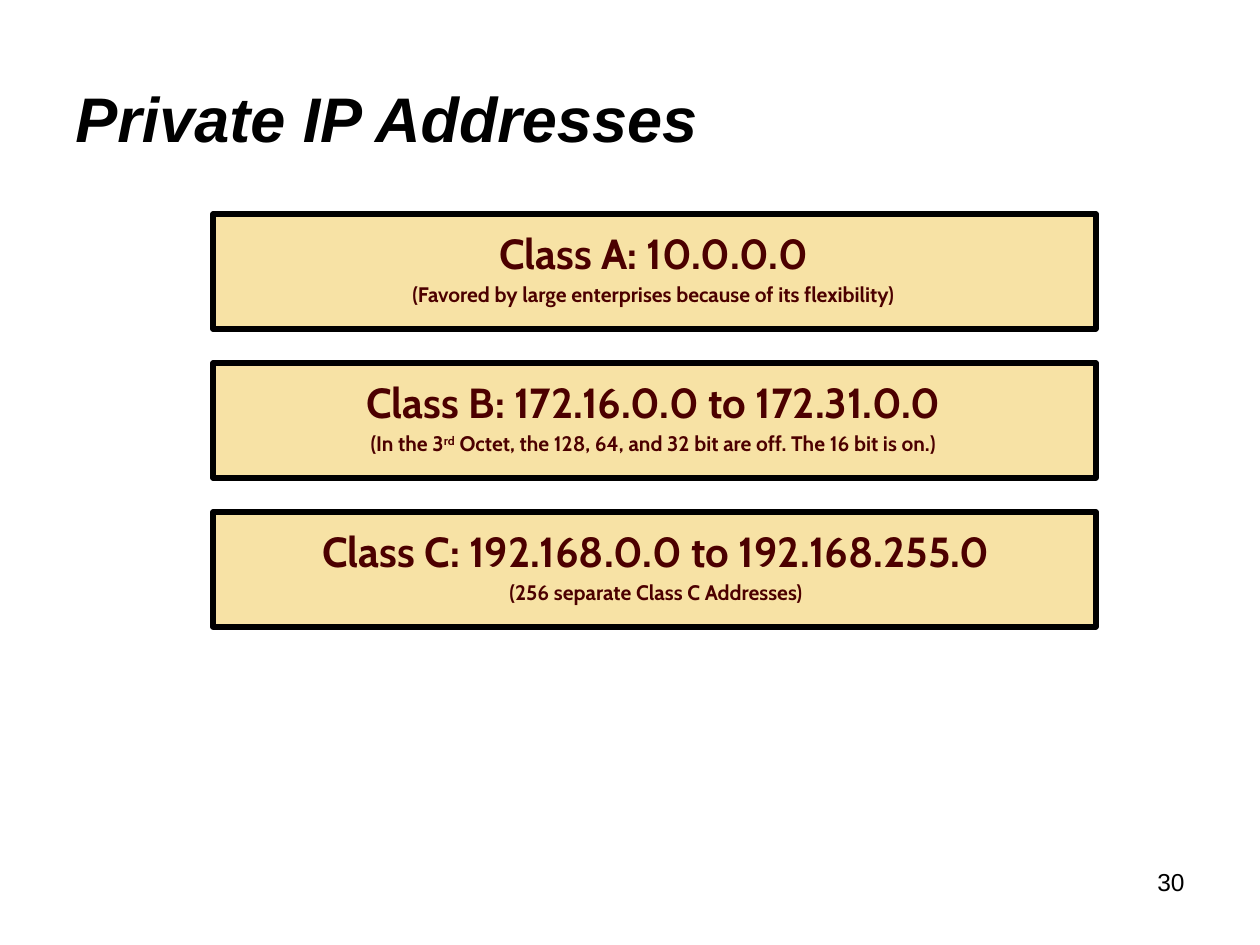
import pptx
import pptx.util
import pptx.dml.color
import pptx.enum.shapes
import pptx.enum.text

EMU_PER_PX = 914400 / 126
COLORS = {"ink": "000000", "panel": "F7E2A5", "maroon": "4C0000"}
ALIGN = pptx.enum.text.PP_ALIGN
ANCHOR = pptx.enum.text.MSO_ANCHOR

TITLE = {"name": "Arial", "size": 36, "bold": True, "italic": True, "color": "ink"}
NUMBER = {"name": "Arial", "size": 14, "color": "ink"}
HEADING = {"name": "Cabin", "size": 24, "bold": True, "color": "maroon"}
DETAIL = {**HEADING, "size": 12}
CENTERED = {"alignment": ALIGN.CENTER, "line_spacing": 0.75}


def px(*lengths):
    return [pptx.util.Emu(round(length * EMU_PER_PX)) for length in lengths]


def rgb(name):
    return pptx.dml.color.RGBColor.from_string(COLORS[name])


class SlideBuilder:
    def __init__(self, deck):
        self.slide = deck.slides.add_slide(deck.slide_layouts[6])

    def format_font(self, font, style):
        for key, value in style.items():
            if key == "color":
                font.color.rgb = rgb(value)
            else:
                setattr(font, key, pptx.util.Pt(value) if key == "size" else value)

    def text(self, shapes, bounds, paragraphs, anchor=ANCHOR.TOP):
        """Each paragraph is (spans, font style, layout); a span is (text, baseline)."""
        frame = shapes.add_textbox(*px(*bounds)).text_frame
        frame.word_wrap = True
        frame.vertical_anchor = anchor
        for index, (spans, style, layout) in enumerate(paragraphs):
            para = frame.add_paragraph() if index else frame.paragraphs[0]
            for key, value in layout.items():
                setattr(para, key, value)
            for words, baseline in spans:
                span = para.add_run()
                span.text = words
                self.format_font(span.font, style)
                if baseline:
                    span._r.get_or_add_rPr().set("baseline", str(baseline * 1000))

    def panel(self, shapes, bounds):
        box = shapes.add_shape(pptx.enum.shapes.MSO_SHAPE.RECTANGLE, *px(*bounds))
        box.shadow.inherit = False
        box.fill.solid()
        box.fill.fore_color.rgb = rgb("panel")
        box.line.color.rgb = rgb("ink")
        box.line.width = pptx.util.Pt(3)

    def address_class(self, top, left, width, heading, detail):
        shapes = self.slide.shapes.add_group_shape().shapes
        self.panel(shapes, (213, top, 883, 115))
        self.text(shapes, (left, top + 19, width, 79), [
            ([(heading, 0)], HEADING, CENTERED),
            (detail, DETAIL, {**CENTERED, "space_before": pptx.util.Pt(6)}),
        ])


def main():
    deck = pptx.Presentation()
    deck.slide_width, deck.slide_height = px(1260, 945)
    page = SlideBuilder(deck)

    # Title
    page.text(page.slide.shapes, (63, 38, 1134, 158),
              [([("Private IP Addresses", 0)], TITLE, {})], ANCHOR.MIDDLE)

    # Private address ranges: text left, text width, heading, detail
    classes = [
        (256, 795, "Class A: 10.0.0.0",
         [("(Favored by large enterprises because of its flexibility)", 0)]),
        (256, 795, "Class B: 172.16.0.0 to 172.31.0.0",
         [("(In the 3", 0), ("rd", 30),
          (" Octet, the 128, 64, and 32 bit are off. The 16 bit is on.)", 0)]),
        (227, 858, "Class C: 192.168.0.0 to 192.168.255.0",
         [("(256 separate Class C Addresses)", 0)]),
    ]
    for row, content in enumerate(classes):
        page.address_class(214 + 149 * row, *content)

    # Slide number
    page.text(page.slide.shapes, (903, 861, 294, 65),
              [([("30", 0)], NUMBER, {"alignment": ALIGN.RIGHT})])

    deck.save("out.pptx")


if __name__ == "__main__":
    main()
